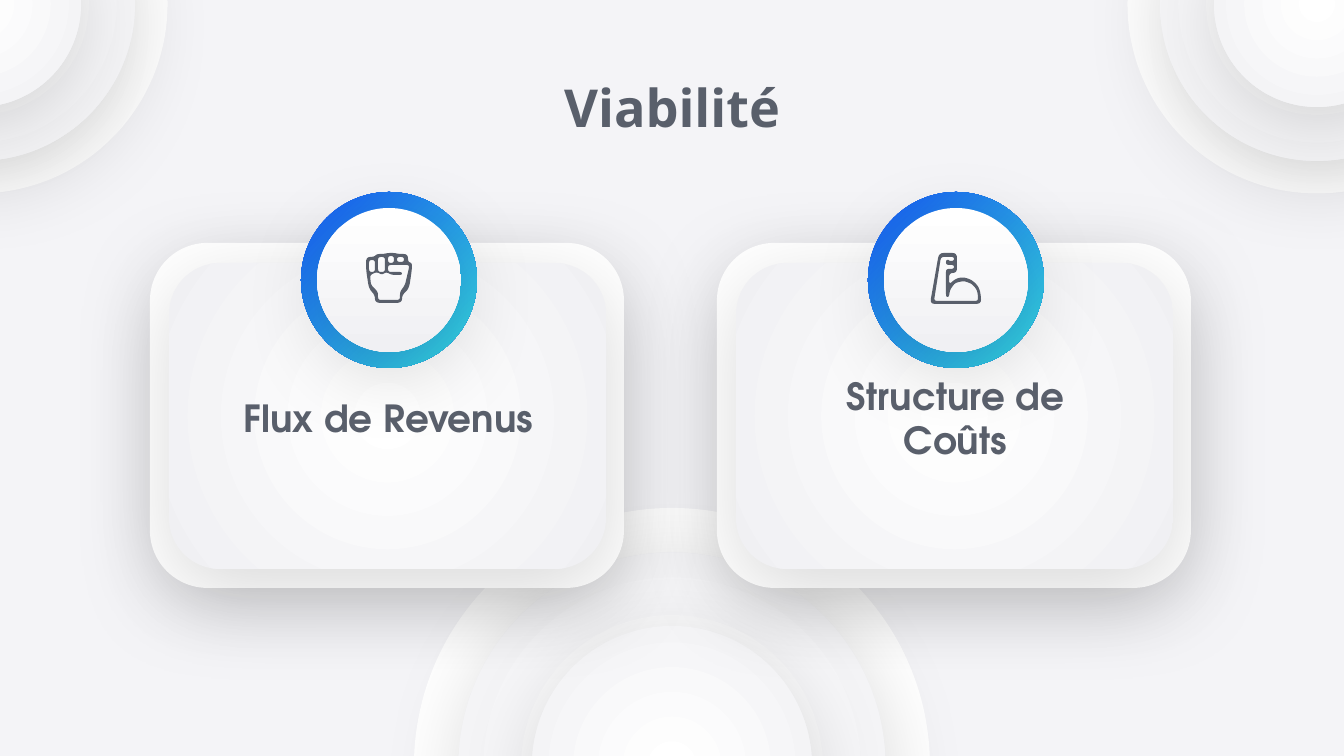
from math import dist

from lxml import etree
from pptx import Presentation
from pptx.dml.color import RGBColor
from pptx.enum.shapes import MSO_SHAPE
from pptx.enum.text import MSO_ANCHOR, PP_ALIGN
from pptx.oxml import parse_xml
from pptx.oxml.ns import nsdecls, qn
from pptx.util import Emu, Pt

ELLIPSE = MSO_SHAPE.OVAL
CARD = MSO_SHAPE.ROUNDED_RECTANGLE
MIDDLE = MSO_ANCHOR.MIDDLE
CENTER = PP_ALIGN.CENTER

EMU_PER_PX = 914400 / 134.4
WHITE = "FFFFFF"
INK = "595F6B"
BACKDROP = "F4F4F7"
SOFT = (WHITE, "F0F0F3")
VIVID = ("1658F1", "36DBE0")

RIPPLES = [
    (672, 766, (516, 427, 280)),
    (1317, 4, (379, 314, 206)),
    (-22, 4, (379, 314, 206)),
]
FIST = [
    (6, [(0, 4), (8, 4), (11, 1), (18, 1), (22, 0), (29, 0), (32, 1), (42, 1), (42, 9),
         (46, 10), (46, 16), (43, 36), (36, 42), (36, 50), (9, 50), (9, 42), (3, 36), (0, 16)]),
    (3, [(31, 4), (38, 4), (38, 9), (31, 9)]),
    (3, [(22, 3), (28, 3), (28, 10), (22, 10)]),
    (3, [(12, 4), (19, 4), (19, 19), (12, 19)]),
    (3, [(3, 7), (9, 7), (9, 19), (3, 19)]),
    (3, [(22, 12), (43, 12), (43, 15), (39, 32), (34, 39), (34, 47), (12, 47), (12, 39),
         (5, 32), (4, 22), (11, 19), (16, 22), (20, 19), (26, 22), (36, 22), (36, 19), (22, 19)]),
]
ARM = [
    (5, [(9, 0), (27, 0), (27, 20), (19, 20), (19, 32), (25, 26), (33, 24), (42, 27),
         (49, 34), (51, 43), (51, 51), (0, 51)]),
    (3, [(11, 4), (24, 4), (24, 8), (19, 8), (19, 7), (16, 7), (16, 12), (24, 12), (24, 16),
         (16, 16), (16, 44), (19, 44), (20, 37), (25, 30), (34, 28), (42, 31), (47, 37),
         (48, 43), (48, 48), (4, 48)]),
]
TOPICS = [
    (717, "Structure de Coûts", ARM, 930),
    (150, "Flux de Revenus", FIST, 366),
]


def px(length):
    return Emu(round(length * EMU_PER_PX))


def color(value):
    return RGBColor.from_string(value)


def add_shadow(shape):
    effects = shape._element.spPr.find(qn("a:effectLst"))
    effects.append(parse_xml(
        f'<a:outerShdw {nsdecls("a")} blurRad="{Pt(45)}" dist="{Pt(11.2)}" dir="5100000" '
        'algn="bl" rotWithShape="0"><a:srgbClr val="000000"><a:alpha val="15000"/>'
        '</a:srgbClr></a:outerShdw>'))


def paint_gradient(shape, colors, angle=None):
    shape.fill.gradient()
    for stop, value, position in zip(shape.fill.gradient_stops, colors, (0, 1)):
        stop.color.rgb = color(value)
        stop.position = position
    if angle is not None:
        shape.fill.gradient_angle = 360 - angle
        return
    gradient = shape._element.spPr.find(qn("a:gradFill"))
    gradient.remove(gradient.find(qn("a:lin")))
    radial = etree.SubElement(gradient, qn("a:path"), path="circle")
    etree.SubElement(radial, qn("a:fillToRect"), l="50000", t="50000", r="50000", b="50000")


def add_panel(slide, kind, box, fill, angle=None, shadow=False):
    panel = slide.shapes.add_shape(kind, *map(px, box))
    panel.shadow.inherit = False
    panel.line.fill.background()
    if isinstance(fill, str):
        panel.fill.solid()
        panel.fill.fore_color.rgb = color(fill)
    else:
        paint_gradient(panel, fill, angle)
    if shadow:
        add_shadow(panel)


def add_ripple(slide, x, y, diameters):
    for index, size in enumerate(diameters):
        box = (x - size / 2, y - size / 2, size, size)
        add_panel(slide, ELLIPSE, box, SOFT if index else WHITE, shadow=index > 0)


def toward(start, end, radius):
    length = dist(start, end)
    share = min(radius, length / 2) / length
    return [a + (b - a) * share for a, b in zip(start, end)]


def round_corners(points, radius):
    outline = []
    for index, corner in enumerate(points):
        entry = toward(corner, points[index - 1], radius)
        leave = toward(corner, points[(index + 1) % len(points)], radius)
        for t in (0, 0.25, 0.5, 0.75, 1):
            outline.append([(1 - t) ** 2 * a + 2 * t * (1 - t) * b + t ** 2 * c
                            for a, b, c in zip(entry, corner, leave)])
    return outline


def add_icon(slide, left, top, contours):
    builder = None
    for radius, points in contours:
        start, *rest = [(px(left + x), px(top + y)) for x, y in round_corners(points, radius)]
        if builder is None:
            builder = slide.shapes.build_freeform(*start)
        else:
            builder.move_to(*start)
        builder.add_line_segments(rest, close=True)
    icon = builder.convert_to_shape()
    icon.shadow.inherit = False
    icon.line.fill.background()
    icon.fill.solid()
    icon.fill.fore_color.rgb = color(INK)


def add_heading(slide, box, wording, size, font):
    frame = slide.shapes.add_textbox(*map(px, box)).text_frame
    frame.word_wrap = True
    frame.vertical_anchor = MIDDLE
    frame.margin_left = frame.margin_right = frame.margin_top = frame.margin_bottom = px(13)
    paragraph = frame.paragraphs[0]
    paragraph.alignment = CENTER
    run = paragraph.add_run()
    run.text = wording
    run.font.size = Pt(size)
    run.font.name = font
    run.font.bold = True
    run.font.color.rgb = color(INK)


def add_topic(slide, left, wording, icon, icon_left):
    add_panel(slide, CARD, (left, 243, 474, 345), WHITE, shadow=True)
    add_panel(slide, CARD, (left + 19, 263, 437, 306), SOFT, shadow=True)
    add_panel(slide, ELLIPSE, (left + 151, 192, 176, 176), VIVID, 45)
    add_panel(slide, ELLIPSE, (left + 167, 208, 144, 144), SOFT, 90, True)
    add_heading(slide, (left + 63, 390, 351, 55), wording, 20, "TeX Gyre Adventor")
    add_icon(slide, icon_left, 253, icon)


def main():
    deck = Presentation()
    deck.slide_width, deck.slide_height = px(1344), px(756)
    slide = deck.slides.add_slide(deck.slide_layouts[6])
    slide.background.fill.solid()
    slide.background.fill.fore_color.rgb = color(BACKDROP)
    for ripple in RIPPLES:
        add_ripple(slide, *ripple)
    for topic in TOPICS:
        add_topic(slide, *topic)
    add_heading(slide, (105, 79, 1134, 55), "Viabilité", 28, "Open Sans")
    deck.save("out.pptx")


if __name__ == "__main__":
    main()
